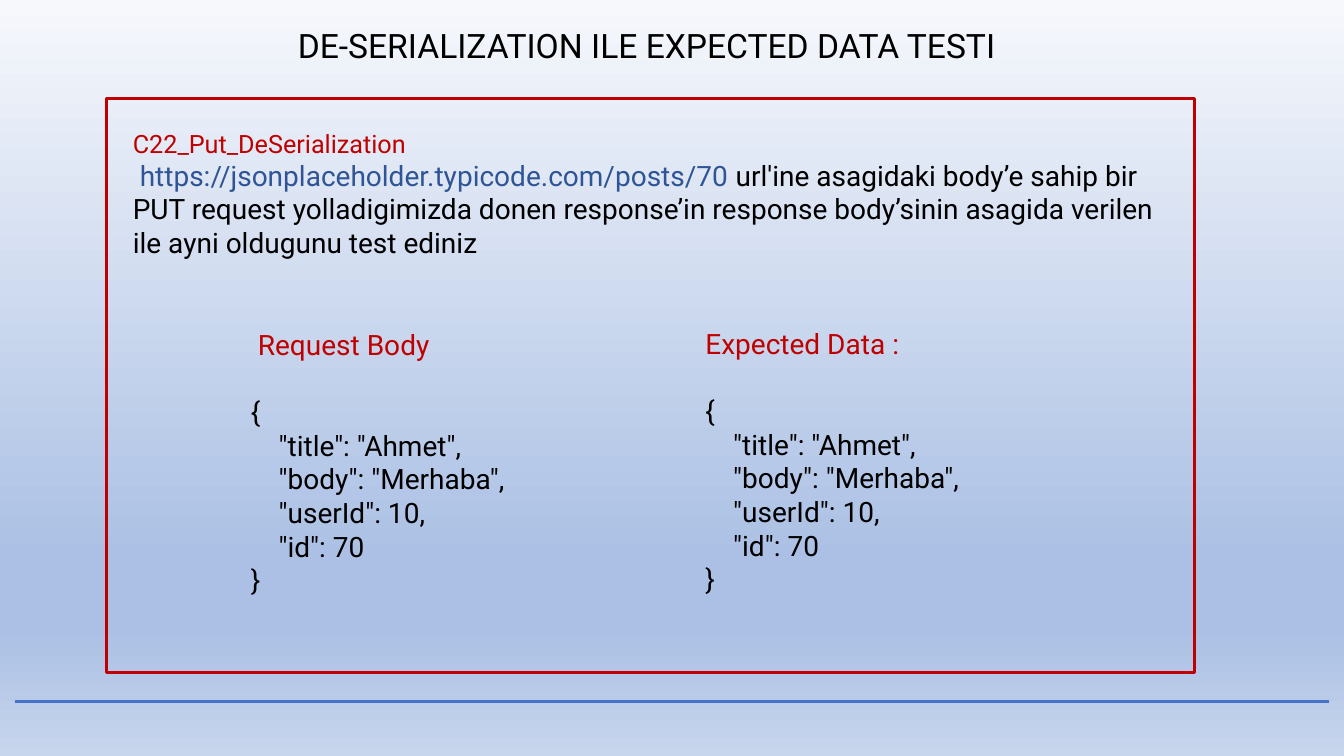
from lxml.etree import SubElement
from pptx import Presentation
from pptx.dml.color import RGBColor
from pptx.enum.shapes import MSO_CONNECTOR, MSO_SHAPE
from pptx.enum.text import MSO_AUTO_SIZE as AutoSize, PP_ALIGN as Align
from pptx.oxml.ns import qn
from pptx.util import Pt

FONT = "Roboto"
RED, BLACK, LINK_BLUE, RULE_BLUE = "C00000", "000000", "2F5597", "4472C4"
BACKDROP = [(0, "F6F8FC", 93), (74, "ABC0E4", 100),
            (83, "ABC0E4", 100), (100, "C7D5ED", 100)]
BODY_LINES = [
    "{",
    "    \"title\": \"Ahmet\",",
    "    \"body\": \"Merhaba\",",
    "    \"userId\": 10,",
    "    \"id\": 70",
    "}",
]


def color(hex_code):
    return RGBColor.from_string(hex_code)


def paint_backdrop(slide):
    fill = slide.background.fill
    fill.gradient()
    fill.gradient_angle = 270
    stops = fill.gradient_stops[0]._gs.getparent()
    for stop in list(stops):
        stops.remove(stop)
    for position, tint, opacity in BACKDROP:
        stop = SubElement(stops, qn("a:gs"), pos=str(position * 1000))
        shade = SubElement(stop, qn("a:srgbClr"), val=tint)
        if opacity < 100:
            SubElement(shade, qn("a:alpha"), val=str(opacity * 1000))


def add_text(slide, box, paragraphs):
    frame = slide.shapes.add_textbox(*map(Pt, box)).text_frame
    frame.word_wrap = True
    frame.auto_size = AutoSize.SHAPE_TO_FIT_TEXT
    for index, (size, pieces) in enumerate(paragraphs):
        paragraph = frame.add_paragraph() if index else frame.paragraphs[0]
        for words, tint in pieces:
            run = paragraph.add_run()
            run.text = words
            run.font.name = FONT
            run.font.size = Pt(size)
            run.font.color.rgb = color(tint)
    return frame.paragraphs


def indent_first_line(paragraph, points):
    paragraph._p.get_or_add_pPr().set("indent", str(Pt(points)))


def add_title(slide, box):
    title = add_text(slide, box, [
        (24, [("DE-SERIALIZATION ILE EXPECTED DATA TESTI", BLACK)])])
    title[0].alignment = Align.CENTER


def add_json_column(slide, box, heading, heading_indent=0):
    lines = add_text(slide, box, [(20, [(heading, RED)])]
                     + [(20, [(line, BLACK)]) for line in BODY_LINES])
    indent_first_line(lines[0], heading_indent)
    lines[1].space_before = Pt(24)


def add_task(slide, box):
    left, top, width, height = box
    task = add_text(slide, (left + 11.5, top + 17.3, 747.4, 101.5), [
        (18, [("C22_Put_DeSerialization", RED)]),
        (20, [("https://jsonplaceholder.typicode.com/posts/70 ", LINK_BLUE),
              ("url'ine asagidaki body’e sahip bir PUT request yolladigimizda "
               "donen response’in response body’sinin asagida verilen ile "
               "ayni oldugunu test ediniz", BLACK)]),
    ])
    indent_first_line(task[1], 5)

    frame = slide.shapes.add_shape(MSO_SHAPE.RECTANGLE, *map(Pt, box))
    frame.shadow.inherit = False
    frame.fill.background()
    frame.line.color.rgb = color(RED)
    frame.line.width = Pt(2.25)

    add_json_column(slide, (left + 420.5, top + 159.1, 239.8, 200.9),
                    "Expected Data :")
    add_json_column(slide, (left + 95.8, top + 159.8, 267.1, 200.9),
                    "Request Body", heading_indent=5)


def add_footer_rule(slide, left, right, y):
    rule = slide.shapes.add_connector(
        MSO_CONNECTOR.STRAIGHT, Pt(left), Pt(y), Pt(right), Pt(y))
    rule.line.color.rgb = color(RULE_BLUE)
    rule.line.width = Pt(2.25)
    SubElement(rule._element.spPr, qn("a:effectLst"))


def main():
    deck = Presentation()
    deck.slide_width, deck.slide_height = Pt(960), Pt(540)
    slide = deck.slides.add_slide(deck.slide_layouts[6])
    paint_backdrop(slide)
    add_footer_rule(slide, 10.8, 949, 501.1)
    add_task(slide, (76.3, 70.6, 776.9, 409.7))
    add_title(slide, (200.2, 14.4, 523.4, 36))
    deck.save("out.pptx")


if __name__ == "__main__":
    main()
